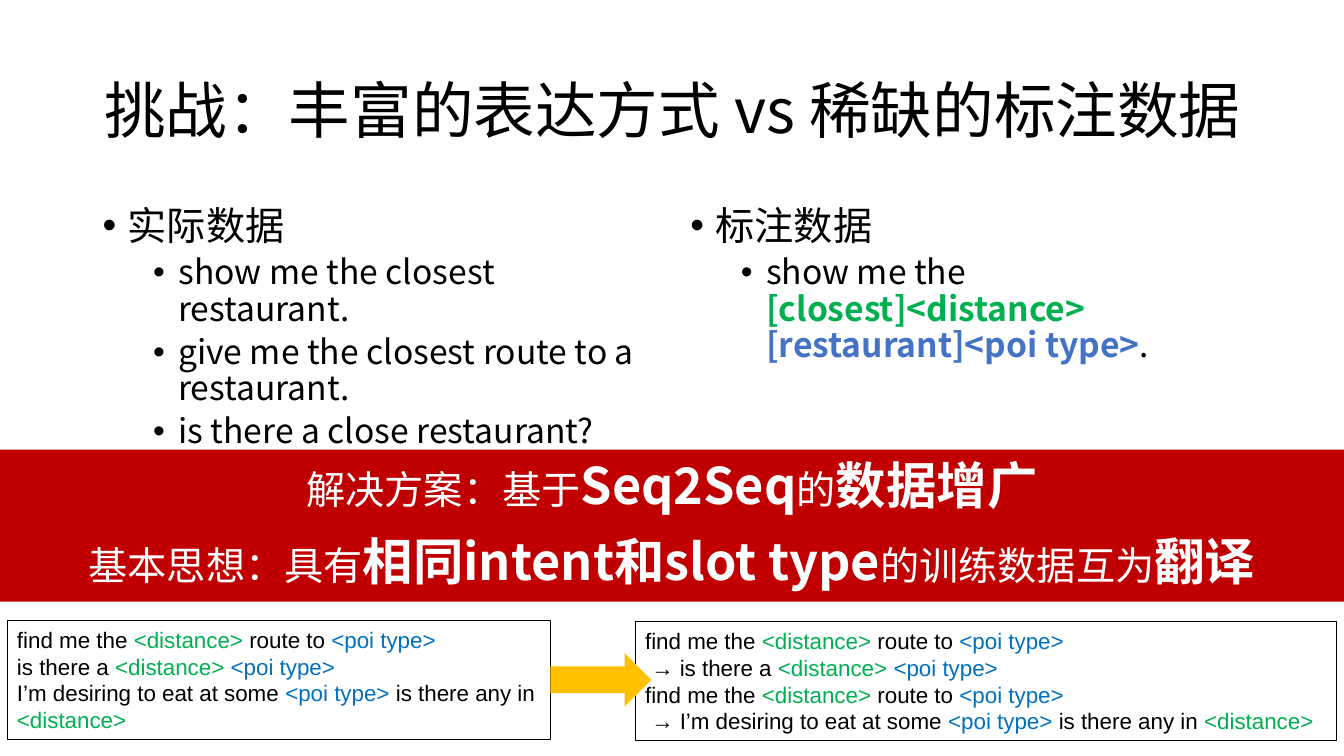
"""Slide on rich wording versus scarce labelled data, with a Seq2Seq answer."""
import pptx
import pptx.util
import pptx.dml.color
import pptx.enum.shapes
import pptx.enum.text
import lxml.etree

Inches, Pt = pptx.util.Inches, pptx.util.Pt
SHAPE = pptx.enum.shapes.MSO_SHAPE
ALIGN = pptx.enum.text.PP_ALIGN
ANCHOR = pptx.enum.text.MSO_ANCHOR

HUES = {"black": "000000", "white": "FFFFFF", "green": "00B050", "blue": "4472C4",
        "sky": "0070C0", "red": "C00000", "gold": "FFC000"}
SANS, ARIAL = "Noto Sans CJK SC", "Arial"

TITLE = "挑战：丰富的表达方式 vs 稀缺的标注数据"
LISTS = [
    (0.92, [
        [("实际数据",)],
        [("show me the closest restaurant.",)],
        [("give me the closest route to a restaurant.",)],
        [("is there a close restaurant?",)],
    ]),
    (6.75, [
        [("标注数据",)],
        [("show me the ",), ("[closest]<distance> ", "green", True),
         ("[restaurant]<poi type>", "blue", True), (".",)],
    ]),
]
BAND = [
    [("解决方案：基于",), ("Seq2Seq", None, True, 36), ("的",), ("数据增广", None, True, 36)],
    [("基本思想：具有",), ("相同intent和slot type", None, True, 36),
     ("的训练数据互为",), ("翻译", None, True, 36)],
]
FIND = [("find me the ",), ("<distance> ", "green"), ("route to ",), ("<poi type>", "sky")]
THERE = [("is there a ",), ("<distance> ", "green"), ("<poi type>", "sky")]
EAT = [("I’m desiring to eat at some ",), ("<poi type> ", "sky"),
       ("is there any in ",), ("<distance>", "green")]
LEAD = [(" → ",)]
BOXES = [
    ((0.07, 6.16, 5.39, 1.18), [FIND, THERE, EAT]),
    ((6.3, 6.17, 6.96, 1.18), [FIND, LEAD + THERE, FIND, LEAD + EAT]),
]
ARROW = (5.46, 6.48, 1, 0.53)


def tint(name):
    """Return the named colour."""
    return pptx.dml.color.RGBColor.from_string(HUES[name])


def add_tag(parent, tag, **attrs):
    """Append a drawing element to its parent."""
    name = pptx.oxml.ns.qn("a:" + tag)
    return lxml.etree.SubElement(parent, name, **attrs)


def write(para, runs, size, face=SANS, hue="black"):
    """Fill a paragraph with runs of (text, colour, bold, size)."""
    font = para.font
    font.size, font.name = Pt(size), face
    font.color.rgb = tint(hue)
    add_tag(para._p.pPr.find(pptx.oxml.ns.qn("a:defRPr")), "ea", typeface=face)
    for text, shade, bold, big in (run + (None,) * (4 - len(run)) for run in runs):
        run = para.add_run()
        run.text = text
        if shade:
            run.font.color.rgb = tint(shade)
        if bold:
            run.font.bold = True
        if big:
            run.font.size = Pt(big)


def get_para(frame, index):
    """Return the first paragraph, or a new one after it."""
    return frame.add_paragraph() if index else frame.paragraphs[0]


def add_list(slide, left, lines):
    """Add a heading bullet with its examples one level down."""
    frame = slide.shapes.add_textbox(*map(Inches, (left, 2, 5.67, 4.76))).text_frame
    frame.word_wrap = True
    for i, runs in enumerate(lines):
        para = get_para(frame, i)
        para.line_spacing = 0.9
        if i:
            para.level = 1
            para.space_before = Pt(5)
        props = para._p.get_or_add_pPr()
        props.set("marL", str(Inches(0.75 if i else 0.25)))
        props.set("indent", str(Inches(-0.25)))
        add_tag(props, "buFont", typeface=ARIAL)
        add_tag(props, "buChar", char="•")
        write(para, runs, 24 if i else 28)


def add_block(slide, kind, place, fill, edge=None):
    """Add a flat shape and return its text frame."""
    shape = slide.shapes.add_shape(kind, *map(Inches, place))
    shape.shadow.inherit = False
    shape.fill.solid()
    shape.fill.fore_color.rgb = tint(fill)
    if edge:
        shape.line.color.rgb = tint(edge)
        shape.line.width = Pt(0.75)
    else:
        shape.line.fill.background()
    frame = shape.text_frame
    frame.word_wrap = True
    frame.vertical_anchor = ANCHOR.TOP
    return frame


def main():
    """Build the slide and save it."""
    deck = pptx.Presentation()
    deck.slide_width, deck.slide_height = Inches(13.33), Inches(7.5)
    slide = deck.slides.add_slide(deck.slide_layouts[5])

    title = slide.shapes.title
    title.left, title.top, title.width, title.height = map(Inches, (0.92, 0.4, 11.5, 1.45))
    title.text_frame.vertical_anchor = ANCHOR.MIDDLE
    para = title.text_frame.paragraphs[0]
    para.alignment = ALIGN.CENTER
    para.line_spacing = 0.9
    write(para, [(TITLE,)], 44)

    for left, lines in LISTS:
        add_list(slide, left, lines)

    frame = add_block(slide, SHAPE.RECTANGLE, (0, 4.46, 13.33, 1.51), "red")
    for i, runs in enumerate(BAND):
        para = get_para(frame, i)
        para.alignment = ALIGN.CENTER
        if i:
            para.space_before = Pt(11)
        write(para, runs, 28, hue="white")

    for place, lines in BOXES:
        frame = add_block(slide, SHAPE.RECTANGLE, place, "white", "black")
        for i, runs in enumerate(lines):
            para = get_para(frame, i)
            para.alignment = ALIGN.LEFT
            write(para, runs, 16, ARIAL)

    add_block(slide, SHAPE.RIGHT_ARROW, ARROW, "gold")
    deck.save("out.pptx")


if __name__ == "__main__":
    main()
